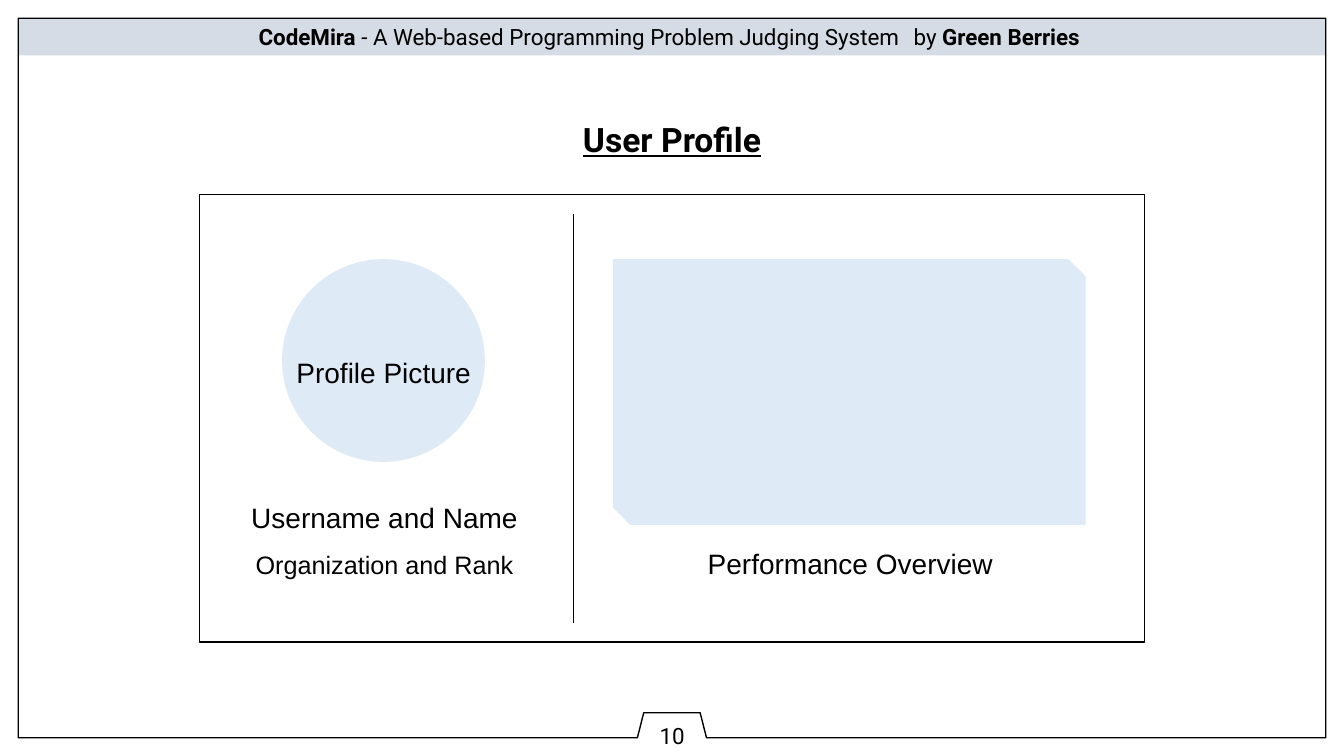
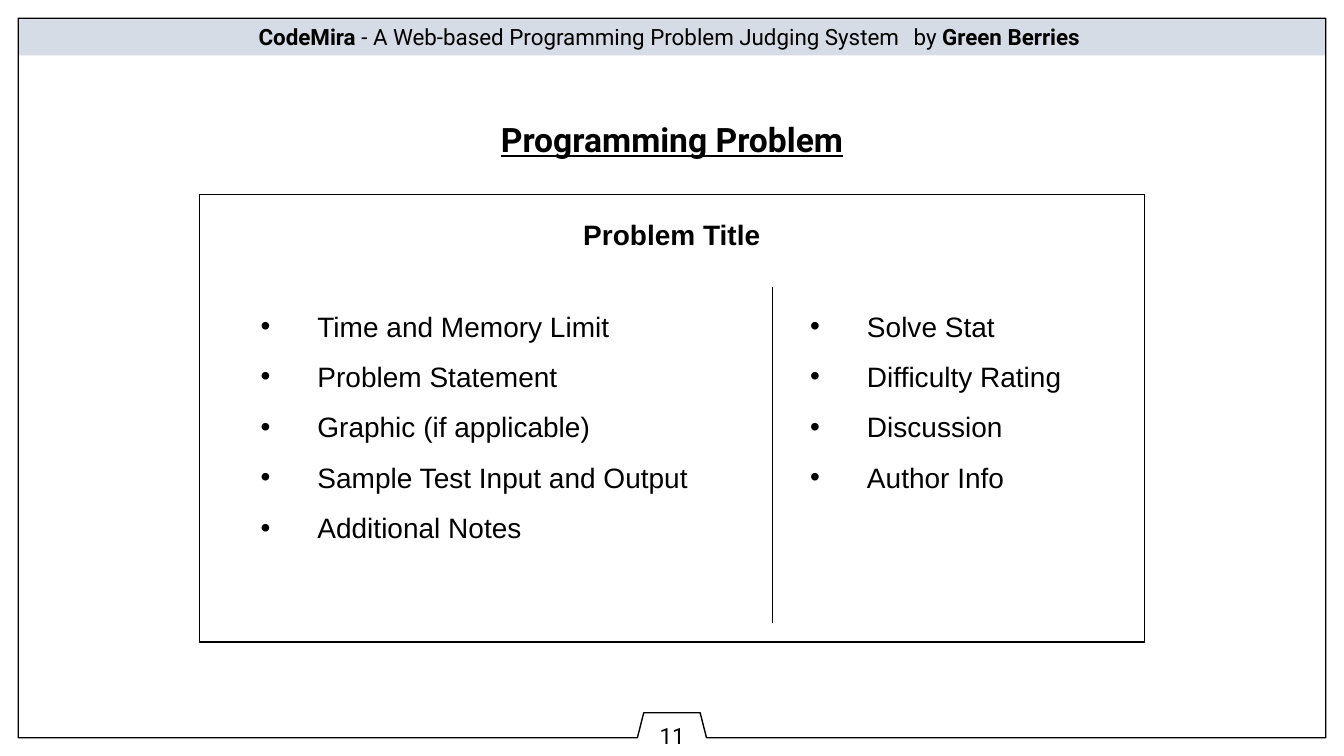
from dataclasses import dataclass

from lxml import etree
from pptx import Presentation
from pptx.dml.color import RGBColor
from pptx.enum.shapes import MSO_CONNECTOR, MSO_SHAPE
from pptx.enum.text import MSO_ANCHOR, PP_ALIGN
from pptx.oxml.ns import qn
from pptx.util import Cm, Pt

RECTANGLE = MSO_SHAPE.RECTANGLE
OVAL = MSO_SHAPE.OVAL
SNIPPED = MSO_SHAPE.SNIP_2_DIAG_RECTANGLE
STRAIGHT = MSO_CONNECTOR.STRAIGHT
TOP, MIDDLE = MSO_ANCHOR.TOP, MSO_ANCHOR.MIDDLE
CENTER, JUSTIFY = PP_ALIGN.CENTER, PP_ALIGN.JUSTIFY


@dataclass(frozen=True)
class Theme:
    ink: RGBColor = RGBColor(0x00, 0x00, 0x00)
    paper: RGBColor = RGBColor(0xFF, 0xFF, 0xFF)
    band: RGBColor = RGBColor(0xD6, 0xDC, 0xE5)
    sketch: RGBColor = RGBColor(0xDE, 0xEB, 0xF7)
    heading_font: str = "Roboto"
    body_font: str = "Arial"
    title_size: int = 24
    body_size: int = 20
    detail_size: int = 18
    frame_size: int = 16
    outline: float = 1
    hairline: float = 0.5


THEME = Theme()
SLIDE_WIDTH, SLIDE_HEIGHT = 33.87, 19.05
MARGIN = 0.46
PANEL_LEFT, PANEL_TOP, PANEL_WIDTH, PANEL_HEIGHT = 5.03, 4.9, 23.81, 11.28
DIVIDER_BOTTOM = 15.7
BULLET_INDENT = 1.43
HEADER = [
    ("CodeMira ", True),
    ("- A Web-based Programming Problem Judging System \tby ", False),
    ("Green Berries ", True),
]


def write(shape, paragraphs, font=THEME.body_font, size=THEME.body_size,
          bold=False, underline=False, align=CENTER, spacing=1.5,
          anchor=TOP, bullet=None):
    frame = shape.text_frame
    frame.word_wrap = True
    frame.vertical_anchor = anchor
    for index, runs in enumerate(paragraphs):
        paragraph = frame.add_paragraph() if index else frame.paragraphs[0]
        paragraph.alignment = align
        paragraph.line_spacing = spacing
        if bullet:
            add_bullet(paragraph, bullet)
        for text, run_bold, run_size in expand(runs, bold, size):
            run = paragraph.add_run()
            run.text = text
            run.font.name = font
            run.font.size = Pt(run_size)
            run.font.bold = run_bold
            run.font.underline = underline
            run.font.color.rgb = THEME.ink


def expand(runs, bold, size):
    if isinstance(runs, str):
        return [(runs, bold, size)]
    if isinstance(runs, tuple):
        text, own_size = runs
        return [(text, bold, own_size)]
    return [(text, own_bold, size) for text, own_bold in runs]


def add_bullet(paragraph, bullet):
    properties = paragraph._p.get_or_add_pPr()
    properties.set("marL", str(Cm(BULLET_INDENT)))
    properties.set("indent", str(-Cm(BULLET_INDENT)))
    etree.SubElement(properties, qn("a:buFont"), typeface=THEME.body_font)
    etree.SubElement(properties, qn("a:buChar"), char=bullet)


def add_text(slide, left, top, width, height, paragraphs, **format):
    box = slide.shapes.add_textbox(Cm(left), Cm(top), Cm(width), Cm(height))
    write(box, paragraphs, **format)


def add_block(slide, preset, left, top, width, height, fill, outlined=False):
    block = slide.shapes.add_shape(preset, Cm(left), Cm(top), Cm(width), Cm(height))
    block.shadow.inherit = False
    block.fill.solid()
    block.fill.fore_color.rgb = fill
    if outlined:
        draw_line(block, THEME.outline)
    else:
        block.line.fill.background()
    return block


def draw_line(shape, width):
    shape.line.color.rgb = THEME.ink
    shape.line.width = Pt(width)


def add_divider(slide, x, top):
    divider = slide.shapes.add_connector(
        STRAIGHT, Cm(x), Cm(top), Cm(x), Cm(DIVIDER_BOTTOM))
    draw_line(divider, THEME.hairline)
    etree.SubElement(divider._element.spPr, qn("a:effectLst"))


def add_border(slide):
    right, bottom = SLIDE_WIDTH - MARGIN, SLIDE_HEIGHT - MARGIN
    center, tab_top = SLIDE_WIDTH / 2, 17.96
    foot, shoulder = 0.87, 0.71
    corners = [
        (right, MARGIN), (right, bottom),
        (center + foot, bottom), (center + shoulder, tab_top),
        (center - shoulder, tab_top), (center - foot, bottom),
        (MARGIN, bottom),
    ]
    builder = slide.shapes.build_freeform(Cm(MARGIN), Cm(MARGIN))
    builder.add_line_segments([(Cm(x), Cm(y)) for x, y in corners], close=True)
    border = builder.convert_to_shape()
    border.shadow.inherit = False
    border.fill.background()
    draw_line(border, THEME.outline)


def add_page(deck, title, number):
    slide = deck.slides.add_slide(deck.slide_layouts[6])
    band = add_block(slide, RECTANGLE, MARGIN, MARGIN,
                     SLIDE_WIDTH - 2 * MARGIN, 0.94, THEME.band)
    write(band, [HEADER], font=THEME.heading_font, size=THEME.frame_size,
          spacing=1.0, anchor=MIDDLE)
    add_border(slide)
    add_text(slide, 6.5, 2.87, 20.87, 1.28, [title], font=THEME.heading_font,
             size=THEME.title_size, bold=True, underline=True, spacing=1.0)
    add_block(slide, RECTANGLE, PANEL_LEFT, PANEL_TOP, PANEL_WIDTH, PANEL_HEIGHT,
              THEME.paper, outlined=True)
    add_text(slide, 15.39, 18.03, 3.1, 1.02, [str(number)],
             font=THEME.heading_font, size=THEME.frame_size,
             spacing=1.0, anchor=MIDDLE)
    return slide


def add_profile_page(deck):
    slide = add_page(deck, "User Profile", 10)
    add_block(slide, OVAL, 7.11, 6.53, 5.11, 5.11, THEME.sketch)
    add_text(slide, 6.43, 8.41, 6.48, 1.37, ["Profile Picture"])
    add_text(slide, 5.23, 12.07, 8.92, 2.54,
             ["Username and Name", ("Organization and Rank", THEME.detail_size)])
    add_divider(slide, 14.45, 5.39)
    overview = add_block(slide, SNIPPED, 15.45, 6.53, 11.91, 6.7, THEME.sketch)
    overview.adjustments[0] = 0
    overview.adjustments[1] = 0.065
    add_text(slide, 16.97, 13.23, 8.92, 1.37, ["Performance Overview"])


def add_problem_page(deck):
    slide = add_page(deck, "Programming Problem", 11)
    columns_top = 7.24
    add_text(slide, 13.69, 4.93, 6.48, 1.37, ["Problem Title"], bold=True)
    columns = [
        (6.32, 13.13, 6.5, ["Time and Memory Limit", "Problem Statement",
                            "Graphic (if applicable)",
                            "Sample Test Input and Output",
                            "Additional Notes "]),
        (20.17, 7.34, 5.23, ["Solve Stat", "Difficulty Rating",
                             "Discussion", "Author Info"]),
    ]
    for left, width, height, items in columns:
        add_text(slide, left, columns_top, width, height, items,
                 align=JUSTIFY, bullet="•")
    add_divider(slide, 19.46, columns_top)


def main():
    deck = Presentation()
    deck.slide_width = Cm(SLIDE_WIDTH)
    deck.slide_height = Cm(SLIDE_HEIGHT)
    add_profile_page(deck)
    add_problem_page(deck)
    deck.save("out.pptx")


if __name__ == "__main__":
    main()
